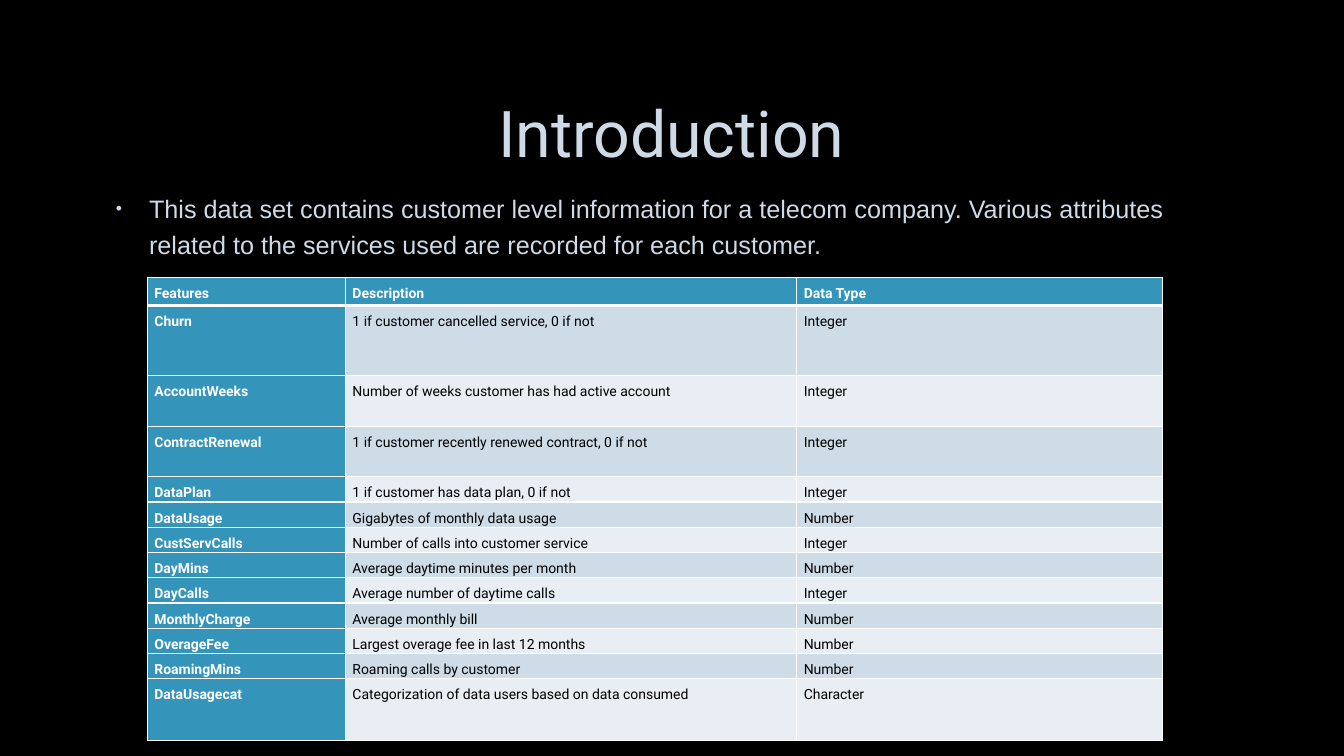
import dataclasses
import typing

import lxml.etree
import pptx
import pptx.dml.color
import pptx.enum.text
import pptx.oxml.ns
import pptx.util

Pt = pptx.util.Pt
Anchor = pptx.enum.text.MSO_ANCHOR
Align = pptx.enum.text.PP_ALIGN

COLORS = {
    "back": "000000",
    "pale": "CEDBE6",
    "head": "3494BA",
    "odd": "CEDCE7",
    "even": "E8EEF3",
    "white": "FFFFFF",
    "black": "000000",
}


@dataclasses.dataclass
class Label:
    text: str
    box: tuple[float, float, float, float]
    font: dict[str, typing.Any]
    para: dict[str, typing.Any]
    anchor: Anchor = Anchor.TOP
    bullet: bool = False


@dataclasses.dataclass
class Field:
    name: str
    about: str
    kind: str
    height: float = 17.6


TITLE = Label(
    "Introduction", (72, 48.24, 815, 99.36),
    {"name": "Roboto", "size": Pt(46)},
    {"alignment": Align.CENTER, "line_spacing": 0.9},
    Anchor.MIDDLE,
)
INTRO = Label(
    "This data set contains customer level information for a telecom company. "
    "Various attributes related to the services used are recorded for each customer.",
    (72, 131, 815, 60),
    {"name": "Arial", "size": Pt(18)},
    {"line_spacing": 1.17, "space_after": Pt(6)},
    bullet=True,
)
FIELDS = [
    Field("Features", "Description", "Data Type", 20.2),
    Field("Churn", "1 if customer cancelled service, 0 if not", "Integer", 50.3),
    Field("AccountWeeks", "Number of weeks customer has had active account", "Integer", 36),
    Field("ContractRenewal", "1 if customer recently renewed contract, 0 if not", "Integer", 36),
    Field("DataPlan", "1 if customer has data plan, 0 if not", "Integer"),
    Field("DataUsage", "Gigabytes of monthly data usage", "Number"),
    Field("CustServCalls", "Number of calls into customer service", "Integer"),
    Field("DayMins", "Average daytime minutes per month", "Number"),
    Field("DayCalls", "Average number of daytime calls", "Integer"),
    Field("MonthlyCharge", "Average monthly bill", "Number"),
    Field("OverageFee", "Largest overage fee in last 12 months", "Number"),
    Field("RoamingMins", "Roaming calls by customer", "Number"),
    Field("DataUsagecat", "Categorization of data users based on data consumed", "Character", 43.9),
]
WIDTHS = (141.5, 322.4, 261.2)


def rgb(name: str) -> pptx.dml.color.RGBColor:
    return pptx.dml.color.RGBColor.from_string(COLORS[name])


def apply(target: typing.Any, values: dict[str, typing.Any]) -> None:
    for key, value in values.items():
        setattr(target, key, value)


def add_node(parent: typing.Any, tag: str, **attrs: str) -> typing.Any:
    return lxml.etree.SubElement(parent, pptx.oxml.ns.qn(tag), attrs)


def write(para: typing.Any, text: str, font: dict[str, typing.Any], color: str) -> None:
    run = para.add_run()
    run.text = text
    apply(run.font, font)
    run.font.color.rgb = rgb(color)


def add_bullet(para: typing.Any) -> None:
    props = para._p.get_or_add_pPr()
    props.set("marL", str(Pt(27.4)))
    props.set("indent", str(Pt(-23.8)))
    tint = add_node(props, "a:buClr")
    add_node(tint, "a:srgbClr", val=COLORS["pale"])
    add_node(props, "a:buSzPct", val="70000")
    add_node(props, "a:buFont", typeface="Arial")
    add_node(props, "a:buChar", char="•")


def add_label(slide: typing.Any, label: Label) -> None:
    frame = slide.shapes.add_textbox(*map(Pt, label.box)).text_frame
    apply(frame, {"word_wrap": True, "vertical_anchor": label.anchor})
    para = frame.paragraphs[0]
    if label.bullet:
        add_bullet(para)
    apply(para, label.para)
    write(para, label.text, label.font, "pale")


def add_edges(cell: typing.Any, row: int) -> None:
    """Rule the cell in white, thicker between header and body."""
    thick = {"a:lnB": 0, "a:lnT": 1}
    props = cell._tc.get_or_add_tcPr()
    for tag in ("a:lnL", "a:lnR", "a:lnT", "a:lnB"):
        width = 3 if thick.get(tag) == row else 1
        line = add_node(props, tag, w=str(Pt(width)))
        fill = add_node(line, "a:solidFill")
        add_node(fill, "a:srgbClr", val=COLORS["white"])


def fill_cell(cell: typing.Any, text: str, row: int, col: int) -> None:
    head = row == 0 or col == 0
    add_edges(cell, row)
    cell.fill.solid()
    cell.fill.fore_color.rgb = rgb("head" if head else "odd" if row % 2 else "even")
    apply(cell, {"margin_left": Pt(5), "margin_right": Pt(5),
                 "margin_top": 0, "margin_bottom": 0})
    para = cell.text_frame.paragraphs[0]
    para.line_spacing = 1.5
    font = {"name": "Roboto", "size": Pt(10), "bold": head}
    write(para, text, font, "white" if head else "black")


def add_grid(slide: typing.Any) -> None:
    height = sum(field.height for field in FIELDS)
    frame = slide.shapes.add_table(
        len(FIELDS), len(WIDTHS), Pt(105.3), Pt(198), Pt(sum(WIDTHS)), Pt(height))
    table = frame.table
    table.first_col = True
    for col, width in enumerate(WIDTHS):
        table.columns[col].width = Pt(width)
    for row, field in enumerate(FIELDS):
        table.rows[row].height = Pt(field.height)
        for col, text in enumerate((field.name, field.about, field.kind)):
            fill_cell(table.cell(row, col), text, row, col)


def main() -> None:
    deck = pptx.Presentation()
    apply(deck, {"slide_width": Pt(960), "slide_height": Pt(540)})
    slide = deck.slides.add_slide(deck.slide_layouts[6])
    slide.background.fill.solid()
    slide.background.fill.fore_color.rgb = rgb("back")
    for label in (TITLE, INTRO):
        add_label(slide, label)
    add_grid(slide)
    deck.save("out.pptx")


if __name__ == "__main__":
    main()
